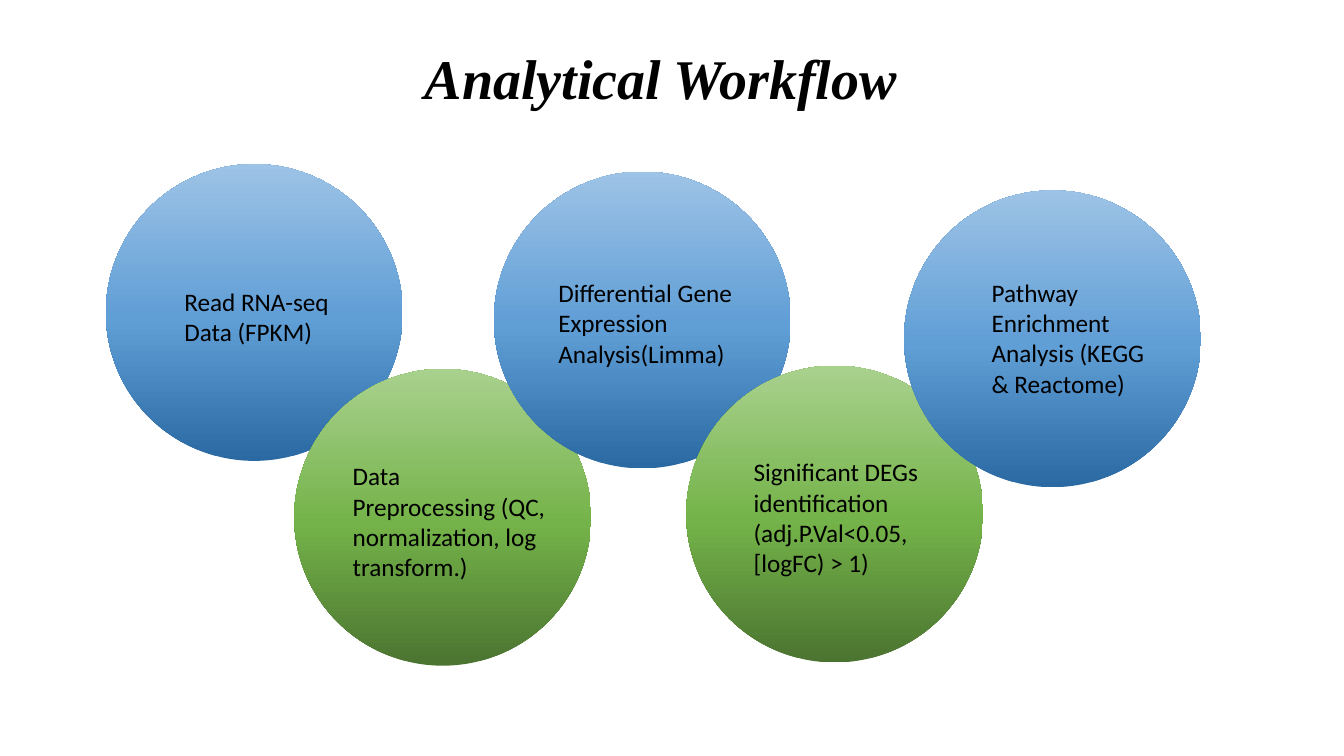
from copy import deepcopy
from typing import NamedTuple

from pptx import Presentation
from pptx.dml.color import RGBColor
from pptx.enum.shapes import MSO_SHAPE as Shape
from pptx.enum.text import MSO_ANCHOR as Anchor, MSO_AUTO_SIZE as AutoSize, PP_ALIGN as Align
from pptx.util import Pt

BLACK = RGBColor(0x00, 0x00, 0x00)
BLUES = (RGBColor(0x2A, 0x69, 0xA2), RGBColor(0x60, 0x9E, 0xD6), RGBColor(0x9D, 0xC3, 0xE6))
GREENS = (RGBColor(0x4B, 0x74, 0x30), RGBColor(0x74, 0xB3, 0x49), RGBColor(0xA9, 0xD1, 0x8E))
STOP_POSITIONS = (0, 0.48, 1)
DIAMETER = 212
LINE_HEIGHT = 21.6
INSETS = 7.2


class Step(NamedTuple):
    wording: str
    left: float
    top: float
    label_dx: float
    label_dy: float
    label_width: float
    lines: int


STEPS = (
    Step("Read RNA-seq Data (FPKM)", 75.6, 117.2, 49, 83.6, 126.7, 2),
    Step("Data Preprocessing (QC, normalization, log transform.)", 210.2, 263.5, 34.6, 62, 153.4, 4),
    Step("Differential Gene Expression Analysis(Limma)", 352.8, 122.6, 38.9, 72, 142.6, 3),
    Step("Significant DEGs identification (adj.P.Val<0.05, [logFC) > 1)", 490.2, 261.2, 41, 61.4, 133.9, 4),
    Step("Pathway Enrichment Analysis (KEGG & Reactome)", 645.8, 136, 55.4, 58.4, 130.3, 4),
)


def add_title(slide, left, top, width, height):
    heading = slide.shapes.title
    heading.left, heading.top = Pt(left), Pt(top)
    heading.width, heading.height = Pt(width), Pt(height)
    frame = heading.text_frame
    frame.text = "Analytical Workflow"
    frame.vertical_anchor = Anchor.MIDDLE
    frame.auto_size = AutoSize.NONE
    paragraph = frame.paragraphs[0]
    paragraph.alignment = Align.CENTER
    font = paragraph.runs[0].font
    font.name, font.size = "Times New Roman", Pt(40)
    font.bold = font.italic = True
    font.color.rgb = BLACK


def add_circle(slide, left, top, shades):
    circle = slide.shapes.add_shape(
        Shape.FLOWCHART_CONNECTOR, Pt(left), Pt(top), Pt(DIAMETER), Pt(DIAMETER))
    circle.shadow.inherit = False
    circle.line.fill.background()
    circle.fill.gradient()
    circle.fill.gradient_angle = 90
    first_stop = circle.element.spPr.xpath("./a:gradFill/a:gsLst/a:gs")[0]
    first_stop.addnext(deepcopy(first_stop))
    for stop, position, shade in zip(circle.fill.gradient_stops, STOP_POSITIONS, shades):
        stop.position = position
        stop.color.rgb = shade


def add_label(slide, left, top, width, height, wording):
    label = slide.shapes.add_textbox(Pt(left), Pt(top), Pt(width), Pt(height))
    frame = label.text_frame
    frame.word_wrap = True
    frame.auto_size = AutoSize.SHAPE_TO_FIT_TEXT
    frame.text = wording
    font = frame.paragraphs[0].runs[0].font
    font.name, font.size = "Calibri", Pt(18)
    font.color.rgb = BLACK


def add_workflow(slide, left, top):
    for index, step in enumerate(STEPS):
        shades = GREENS if index % 2 else BLUES
        add_circle(slide, left + step.left, top + step.top, shades)
    for step in STEPS:
        add_label(slide, left + step.left + step.label_dx, top + step.top + step.label_dy,
                  step.label_width, INSETS + step.lines * LINE_HEIGHT, step.wording)


def main():
    deck = Presentation()
    deck.slide_width, deck.slide_height = Pt(960), Pt(540)
    slide = deck.slides.add_slide(deck.slide_layouts[5])
    add_title(slide, 231, 16.5, 482, 77)
    add_workflow(slide, 0, 0)
    deck.save("out.pptx")


if __name__ == "__main__":
    main()
